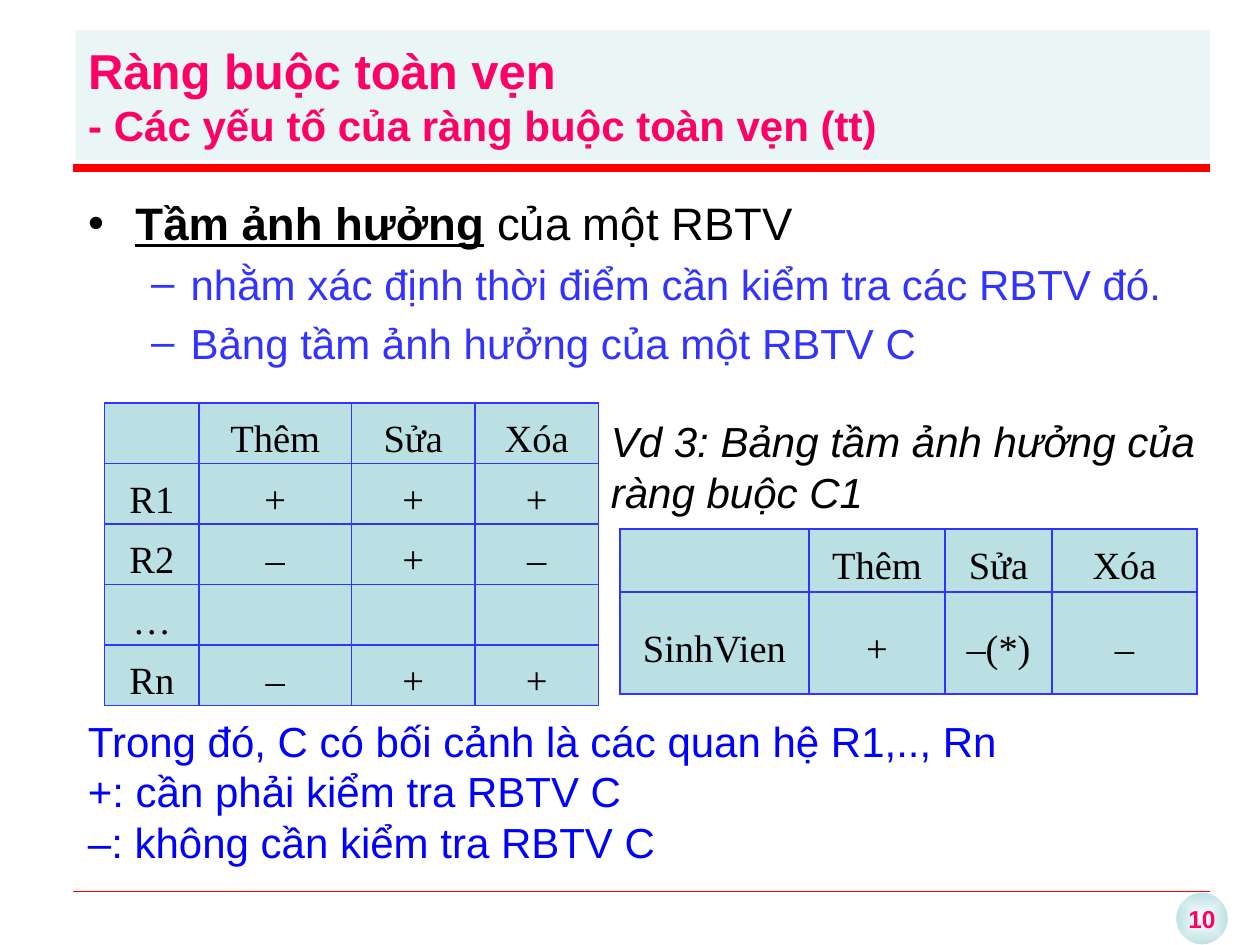
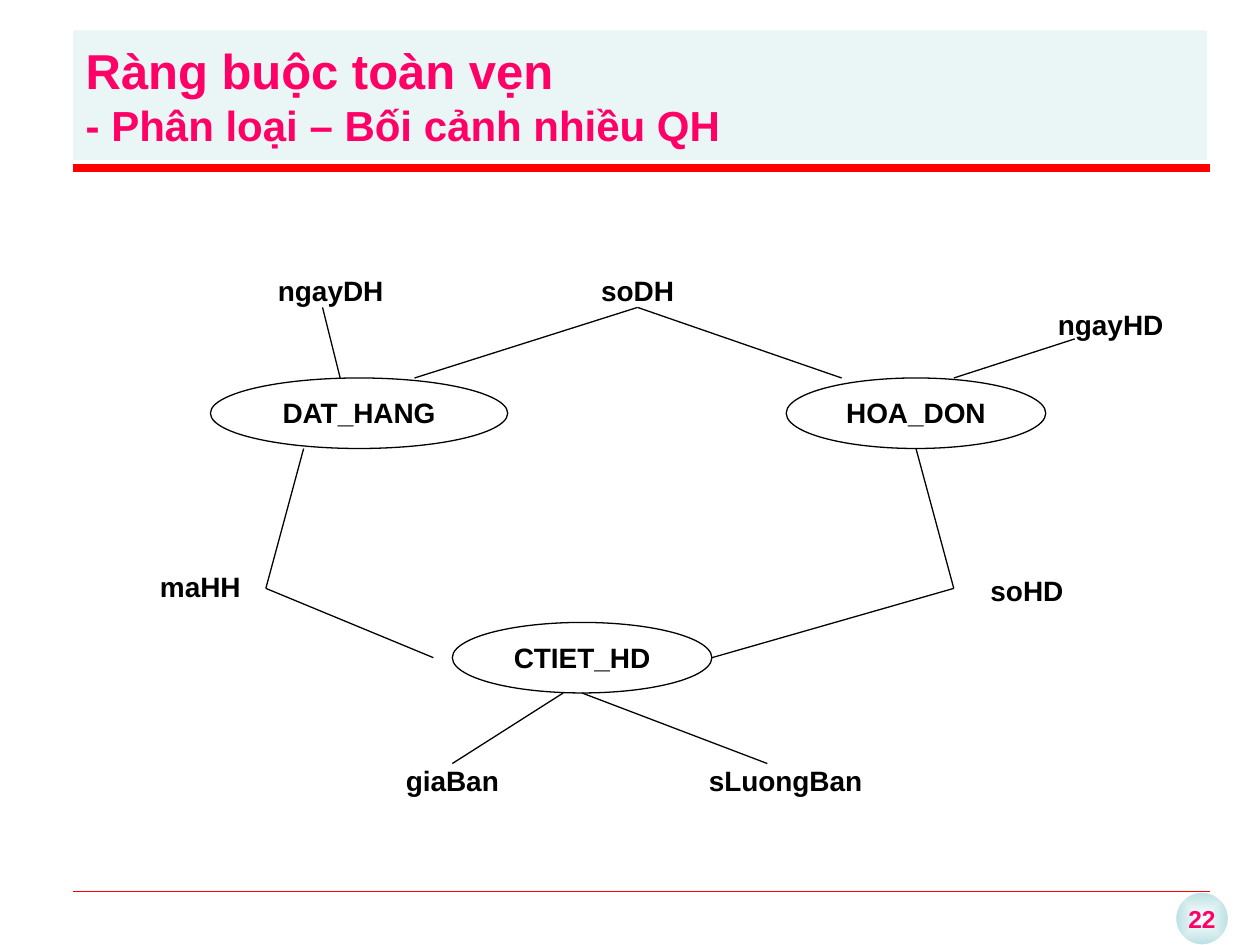
"""Build two slides on integrity constraints: influence tables and a relation diagram."""
from dataclasses import dataclass

from lxml.etree import SubElement
from pptx import Presentation
from pptx.dml.color import RGBColor
from pptx.enum.shapes import MSO_CONNECTOR, MSO_SHAPE
from pptx.enum.text import MSO_ANCHOR as Anchor, MSO_AUTO_SIZE as AutoSize, PP_ALIGN as Align
from pptx.oxml import parse_xml
from pptx.oxml.ns import nsdecls, qn
from pptx.shapes.base import BaseShape
from pptx.slide import Slide
from pptx.text.text import TextFrame, _Run as Run
from pptx.util import Inches, Pt

WHITE = RGBColor(0xFF, 0xFF, 0xFF)
BLACK = RGBColor(0, 0, 0)
TEAL = RGBColor(0xBB, 0xE0, 0xE3)
PINK = RGBColor(0xFF, 0x00, 0x66)
RED = RGBColor(0xFF, 0, 0)
VIOLET = RGBColor(0x33, 0x33, 0xFF)
BLUE = RGBColor(0, 0, 0xFF)
SANS, SERIF = "Arial", "Times New Roman"
TITLE_ONLY, TITLE_AND_BODY = 5, 1
OVAL_HEIGHT, LABEL_HEIGHT = 0.56, 0.28

Point = tuple[float, float]


@dataclass
class Area:
    left: float
    top: float
    width: float
    height: float

    def lengths(self) -> tuple[int, int, int, int]:
        return Inches(self.left), Inches(self.top), Inches(self.width), Inches(self.height)


@dataclass
class Node:
    name: str
    left: float
    top: float
    width: float


@dataclass
class Grid:
    left: float
    top: float
    columns: list[float]
    rows: list[float]
    cells: list[list[str]]


INFLUENCE = Grid(0.83, 3.2, [0.75, 1.21, 0.98, 0.98], [0.48] * 5, [
    ["", "Thêm", "Sửa", "Xóa"],
    ["R1", "+", "+", "+"],
    ["R2", "–", "+", "–"],
    ["…", "", "", ""],
    ["Rn", "–", "+", "+"],
])
EXAMPLE = Grid(4.92, 4.2, [1.5, 1.08, 0.85, 1.15], [0.5, 0.81], [
    ["", "Thêm", "Sửa", "Xóa"],
    ["SinhVien", "+", "–(*)", "–"],
])
RELATIONS = [
    Node("DAT_HANG", 1.67, 3, 2.36),
    Node("HOA_DON", 6.24, 3, 2.06),
    Node("CTIET_HD", 3.59, 4.94, 2.06),
]
ATTRIBUTES = [
    Node("soDH", 4.62, 2.17, 0.88),
    Node("ngayDH", 2.11, 2.17, 1.03),
    Node("ngayHD", 8.3, 2.44, 1.03),
    Node("soHD", 7.71, 4.55, 0.88),
    Node("sLuongBan", 5.5, 6.06, 1.47),
    Node("giaBan", 3.15, 6.06, 0.88),
    Node("maHH", 1.17, 4.52, 0.84),
]
PATHS: list[list[Point]] = [
    [(3.29, 3), (5.06, 2.44), (6.68, 3)],
    [(2.56, 2.44), (2.7, 3)],
    [(2.41, 3.56), (2.11, 4.67), (3.44, 5.22)],
    [(4.47, 5.5), (3.59, 6.06)],
    [(4.62, 5.5), (6.09, 6.06)],
    [(5.65, 5.22), (7.57, 4.67), (7.27, 3.56)],
    [(7.57, 3), (8.53, 2.69)],
]


def style(span: Run, size: float, color: RGBColor, font: str = SANS,
          bold: bool = False, italic: bool = False) -> None:
    """Set the look of one run."""
    span.font.name, span.font.size = font, Pt(size)
    span.font.bold, span.font.italic = bold, italic
    span.font.color.rgb = color


def write(frame: TextFrame, text: str, size: float, color: RGBColor, align: Align = Align.LEFT,
          bold: bool = False, italic: bool = False) -> None:
    """Fill a frame with paragraphs of one style."""
    frame.text = text
    for para in frame.paragraphs:
        para.alignment = align
        for span in para.runs:
            style(span, size, color, bold=bold, italic=italic)


def set_insets(frame: TextFrame, across: float, down: float) -> None:
    """Set equal side insets and equal top and bottom insets."""
    frame.margin_left = frame.margin_right = Inches(across)
    frame.margin_top = frame.margin_bottom = Inches(down)


def fill_solid(shape: BaseShape, color: RGBColor) -> None:
    """Give a shape a plain fill."""
    shape.fill.solid()
    shape.fill.fore_color.rgb = color


def place(shape: BaseShape, area: Area) -> None:
    """Move and size a placeholder."""
    shape.left, shape.top, shape.width, shape.height = area.lengths()


def add_line(page: Slide, start: Point, end: Point, color: RGBColor, width: float) -> None:
    """Draw a straight line without a shadow."""
    line = page.shapes.add_connector(
        MSO_CONNECTOR.STRAIGHT, *(Inches(value) for value in start + end))
    line.line.color.rgb, line.line.width = color, Pt(width)
    SubElement(line.element.spPr, qn("a:effectLst"))


def add_oval(page: Slide, area: Area, outline: RGBColor) -> BaseShape:
    """Add a white ellipse with a thin outline."""
    oval = page.shapes.add_shape(MSO_SHAPE.OVAL, *area.lengths())
    oval.shadow.inherit = False
    fill_solid(oval, WHITE)
    oval.line.color.rgb, oval.line.width = outline, Pt(0.75)
    return oval


def add_text(page: Slide, area: Area, text: str, size: float, color: RGBColor,
             italic: bool = False) -> None:
    """Add a wrapping text box."""
    box = page.shapes.add_textbox(*area.lengths())
    box.text_frame.word_wrap = True
    write(box.text_frame, text, size, color, italic=italic)


def add_badge(page: Slide, number: int) -> None:
    """Draw the page number on a radial gradient disc."""
    badge = add_oval(page, Area(9.33, 7.08, 0.42, 0.42), WHITE)
    badge.fill.gradient()
    for stop, color in zip(badge.fill.gradient_stops, (WHITE, TEAL)):
        stop.color.rgb = color
    gradient = badge.element.spPr.find(qn("a:gradFill"))
    gradient.remove(gradient.find(qn("a:lin")))
    gradient.append(parse_xml(
        f'<a:path {nsdecls("a")} path="shape">'
        '<a:fillToRect l="50000" t="50000" r="50000" b="50000"/></a:path>'))
    write(badge.text_frame, str(number), 14, PINK, Align.CENTER, bold=True)
    badge.text_frame.word_wrap = False
    badge.text_frame.vertical_anchor = Anchor.MIDDLE


def start_page(deck: Presentation, layout: int, number: int, subtitle: str, left: float) -> Slide:
    """Add a slide with its title band, rules and page number."""
    page = deck.slides.add_slide(deck.slide_layouts[layout])
    add_badge(page, number)
    add_line(page, (0.58, 7.07), (9.6, 7.07), RED, 0.25)
    add_line(page, (0.58, 1.33), (9.6, 1.33), RED, 4.5)
    title = page.shapes.title
    place(title, Area(left, 0.24, 9, 1.03))
    fill_solid(title, TEAL)
    color = title.element.spPr.find(qn("a:solidFill"))[0]
    SubElement(color, qn("a:alpha"), val="30000")
    frame = title.text_frame
    write(frame, f"Ràng buộc toàn vẹn\n{subtitle}", 24, PINK, bold=True)
    frame.paragraphs[0].runs[0].font.size = Pt(28)
    frame.auto_size, frame.vertical_anchor = AutoSize.NONE, Anchor.MIDDLE
    return page


def add_grid(page: Slide, grid: Grid) -> None:
    """Draw a bordered table of centred text."""
    area = Area(grid.left, grid.top, sum(grid.columns), sum(grid.rows))
    table = page.shapes.add_table(len(grid.rows), len(grid.columns), *area.lengths()).table
    table.first_row = table.horz_banding = False
    for column, width in zip(table.columns, grid.columns):
        column.width = Inches(width)
    for row, height, texts in zip(table.rows, grid.rows, grid.cells):
        row.height = Inches(height)
        for cell, text in zip(row.cells, texts):
            fill_solid(cell, TEAL)
            set_insets(cell, 0.07, 0)
            cell.vertical_anchor = Anchor.MIDDLE
            para = cell.text_frame.paragraphs[0]
            para.text, para.alignment, para.line_spacing = text, Align.CENTER, 1.3
            for span in para.runs:
                style(span, 22, BLACK, SERIF)
            properties = cell._tc.get_or_add_tcPr()
            for index, side in enumerate(("lnL", "lnR", "lnT", "lnB")):
                properties.insert(index, parse_xml(
                    f'<a:{side} {nsdecls("a")} w="{Pt(1)}"><a:solidFill>'
                    f'<a:srgbClr val="{VIOLET}"/></a:solidFill></a:{side}>'))


def build_influence(deck: Presentation) -> None:
    """Build the slide on the range of influence."""
    page = start_page(deck, TITLE_AND_BODY, 10, "- Các yếu tố của ràng buộc toàn vẹn (tt)", 0.6)
    body = page.placeholders[1]
    place(body, Area(0.6, 1.5, 9, 5.42))
    frame = body.text_frame
    frame.auto_size = AutoSize.NONE
    write(frame, "Tầm ảnh hưởng\nnhằm xác định thời điểm cần kiểm tra các RBTV đó.\n"
          "Bảng tầm ảnh hưởng của một RBTV C", 24, VIOLET, Align.JUSTIFY)
    heading, *details = frame.paragraphs
    heading.add_run().text = " của một RBTV"
    term, rest = heading.runs
    style(term, 26, BLACK, bold=True)
    style(rest, 26, BLACK)
    term.font.underline = True
    for para in details:
        para.level = 1
    add_grid(page, INFLUENCE)
    add_grid(page, EXAMPLE)
    add_text(page, Area(4.75, 3.25, 4.92, 1.08),
             "Vd 3: Bảng tầm ảnh hưởng của ràng buộc C1", 24, BLACK, italic=True)
    add_text(page, Area(0.6, 5.63, 9, 1.33),
             "Trong đó, C có bối cảnh là các quan hệ R1,.., Rn\n"
             "+: cần phải kiểm tra RBTV C\n–: không cần kiểm tra RBTV C", 24, BLUE)


def build_diagram(deck: Presentation) -> None:
    """Build the slide with relations and their attributes."""
    page = start_page(deck, TITLE_ONLY, 22, "- Phân loại – Bối cảnh nhiều QH", 0.58)
    for node in RELATIONS:
        oval = add_oval(page, Area(node.left, node.top, node.width, OVAL_HEIGHT), BLACK)
        set_insets(oval.text_frame, 0, 0.06)
        oval.text_frame.vertical_anchor = Anchor.TOP
        write(oval.text_frame, node.name, 16, BLACK, Align.CENTER, bold=True)
    for node in ATTRIBUTES:
        area = Area(node.left, node.top, node.width, LABEL_HEIGHT)
        label = page.shapes.add_textbox(*area.lengths())
        fill_solid(label, WHITE)
        set_insets(label.text_frame, 0, 0)
        label.text_frame.word_wrap = True
        write(label.text_frame, node.name, 16, BLACK, Align.CENTER, bold=True)
    for points in PATHS:
        for start, end in zip(points, points[1:]):
            add_line(page, start, end, BLACK, 0.75)


def main() -> None:
    """Create and save the deck."""
    deck = Presentation()
    deck.slide_width, deck.slide_height = Inches(10), Inches(7.5)
    build_influence(deck)
    build_diagram(deck)
    deck.save("out.pptx")


main()
